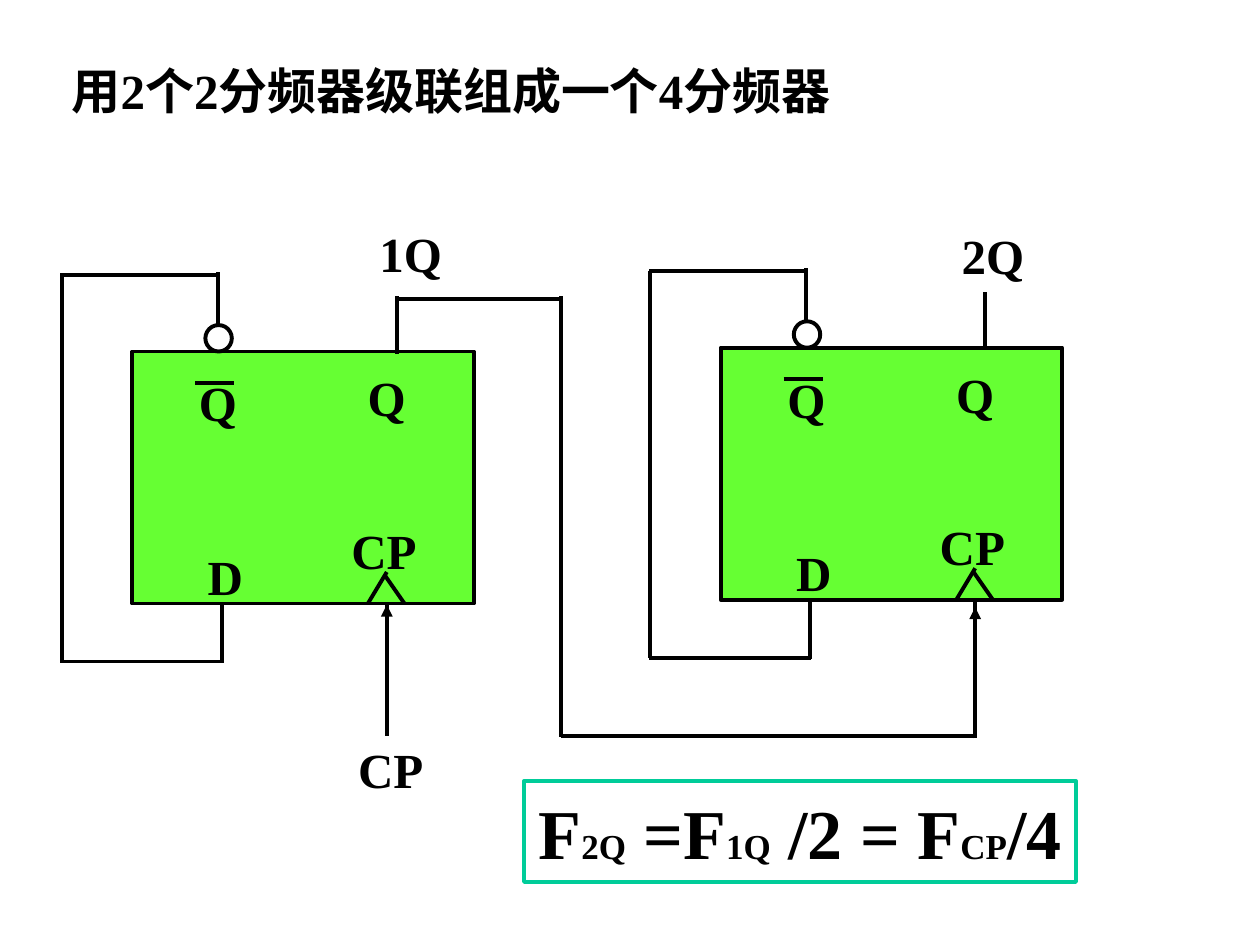
from lxml.etree import SubElement
from pptx import Presentation
from pptx.dml.color import RGBColor
from pptx.enum.shapes import MSO_CONNECTOR, MSO_SHAPE
from pptx.enum.text import MSO_ANCHOR, MSO_AUTO_SIZE, PP_ALIGN
from pptx.oxml.ns import qn
from pptx.util import Inches, Pt

THEME = {
    "font": "Times New Roman",
    "ink": RGBColor(0x00, 0x00, 0x00),
    "chip": RGBColor(0x66, 0xFF, 0x33),
    "bubble": RGBColor(0xFF, 0xFF, 0xFF),
    "frame": RGBColor(0x00, 0xCC, 0x99),
    "line": Pt(2.25),
    "body": 28,
    "formula": 40,
    "subscript": 20,
}

TITLE = ("用2个2分频器级联组成一个4分频器", (0.47, 0.43, 6.28, 0.57))

# One divide-by-2 stage, placed as the first stage stands
CHIP = (1.05, 2.79, 2.71, 2)
BUBBLE = (1.63, 2.58, 0.21, 0.21)
PINS = [
    ("D", (1.55, 4.29, 0.63, 0.57)),
    ("CP", (2.69, 4.08, 0.88, 0.57)),
    ("Q", (2.82, 2.87, 0.65, 0.57)),
    ("Q", (1.48, 2.91, 0.54, 0.57)),
]
STAGE_LINES = [
    (1.76, 4.8, 1.76, 5.26),   # D lead
    (3.07, 4.8, 3.07, 5.26),   # clock lead
    (2.92, 4.79, 3.07, 4.54),  # clock wedge
    (3.05, 4.56, 3.21, 4.79),
    (1.55, 3.04, 1.86, 3.04),  # bar over Q
    (1.73, 2.16, 1.73, 2.62),  # inverted output lead
    (3.15, 2.35, 3.15, 2.81),  # Q lead
    (1.74, 2.18, 0.48, 2.18),  # feedback to D
    (0.49, 2.18, 0.49, 5.25),
    (0.48, 5.25, 1.77, 5.25),
]
STAGE_OFFSETS = [(0, 0), (4.67, -0.03)]

CASCADE_LINES = [
    (3.16, 2.37, 4.45, 2.37),
    (4.45, 2.35, 4.45, 5.85),
    (4.45, 5.84, 7.73, 5.84),
]
CLOCK_ARROWS = [(7.74, 5.86, 7.74, 4.82), (3.07, 5.84, 3.07, 4.8)]
SIGNALS = [
    ("CP", (2.74, 5.82, 0.72, 0.57)),
    ("1Q", (2.91, 1.72, 0.7, 0.57)),
    ("2Q", (7.53, 1.74, 0.7, 0.57)),
]
FORMULA = [("F", "formula"), ("2Q", "subscript"), (" =F", "formula"),
           ("1Q", "subscript"), (" /2 = F", "formula"),
           ("CP", "subscript"), ("/4", "formula")]
FORMULA_BOX = (4.16, 6.2, 4.38, 0.8)


def inches(values):
    return [Inches(v) for v in values]


def shift(box, dx, dy):
    return (box[0] + dx, box[1] + dy, *box[2:])


def write(sp, text, size="body", align=PP_ALIGN.LEFT, anchor=MSO_ANCHOR.TOP, wrap=True):
    """Fill sp with text, either a string or a list of (string, size name) runs."""
    tf = sp.text_frame
    tf.auto_size = MSO_AUTO_SIZE.NONE
    tf.word_wrap = wrap
    tf.vertical_anchor = anchor
    p = tf.paragraphs[0]
    p.alignment = align
    for part, size_name in [(text, size)] if isinstance(text, str) else text:
        r = p.add_run()
        r.text = part
        r.font.name = THEME["font"]
        r.font.size = Pt(THEME[size_name])
        r.font.bold = True
        r.font.color.rgb = THEME["ink"]


def add_label(shapes, text, box, **fmt):
    write(shapes.add_textbox(*inches(box)), text, **fmt)


def add_outlined(shapes, kind, box, fill=None, line="ink"):
    sp = shapes.add_shape(kind, *inches(box))
    sp.shadow.inherit = False
    if fill:
        sp.fill.solid()
        sp.fill.fore_color.rgb = THEME[fill]
    else:
        sp.fill.background()
    sp.line.color.rgb = THEME[line]
    sp.line.width = THEME["line"]
    return sp


def add_wire(shapes, ends, arrow=False):
    wire = shapes.add_connector(MSO_CONNECTOR.STRAIGHT, *inches(ends))
    wire.line.color.rgb = THEME["ink"]
    wire.line.width = THEME["line"]
    if arrow:
        SubElement(wire.line._get_or_add_ln(), qn("a:tailEnd"), type="triangle")
    SubElement(wire._element.spPr, qn("a:effectLst"))


def add_stage(slide, dx, dy):
    shapes = slide.shapes.add_group_shape().shapes
    add_outlined(shapes, MSO_SHAPE.RECTANGLE, shift(CHIP, dx, dy), fill="chip")
    for x1, y1, x2, y2 in STAGE_LINES:
        add_wire(shapes, (x1 + dx, y1 + dy, x2 + dx, y2 + dy))
    add_outlined(shapes, MSO_SHAPE.OVAL, shift(BUBBLE, dx, dy), fill="bubble")
    for text, box in PINS:
        add_label(shapes, text, shift(box, dx, dy))


def main():
    prs = Presentation()
    prs.slide_width, prs.slide_height = Inches(10), Inches(7.5)
    slide = prs.slides.add_slide(prs.slide_layouts[5])
    shapes = slide.shapes

    text, box = TITLE
    title = shapes.title
    title.left, title.top, title.width, title.height = inches(box)
    write(title, text, anchor=MSO_ANCHOR.MIDDLE)

    for dx, dy in STAGE_OFFSETS:
        add_stage(slide, dx, dy)
    for ends in CASCADE_LINES:
        add_wire(shapes, ends)
    for ends in CLOCK_ARROWS:
        add_wire(shapes, ends, arrow=True)

    centred = {"align": PP_ALIGN.CENTER, "anchor": MSO_ANCHOR.MIDDLE, "wrap": False}
    for text, box in SIGNALS:
        add_label(shapes, text, box, **centred)
    frame = add_outlined(shapes, MSO_SHAPE.RECTANGLE, FORMULA_BOX, line="frame")
    write(frame, FORMULA, **centred)

    prs.save("out.pptx")


if __name__ == "__main__":
    main()
